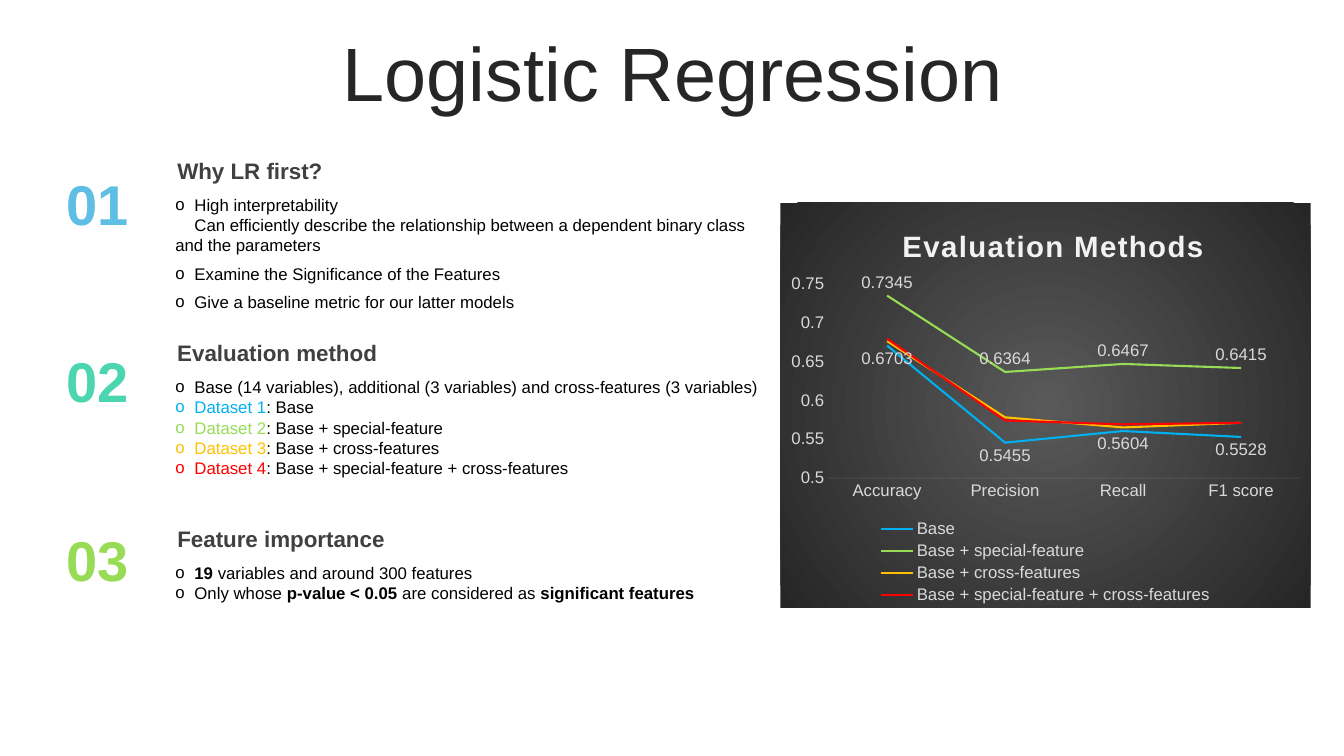
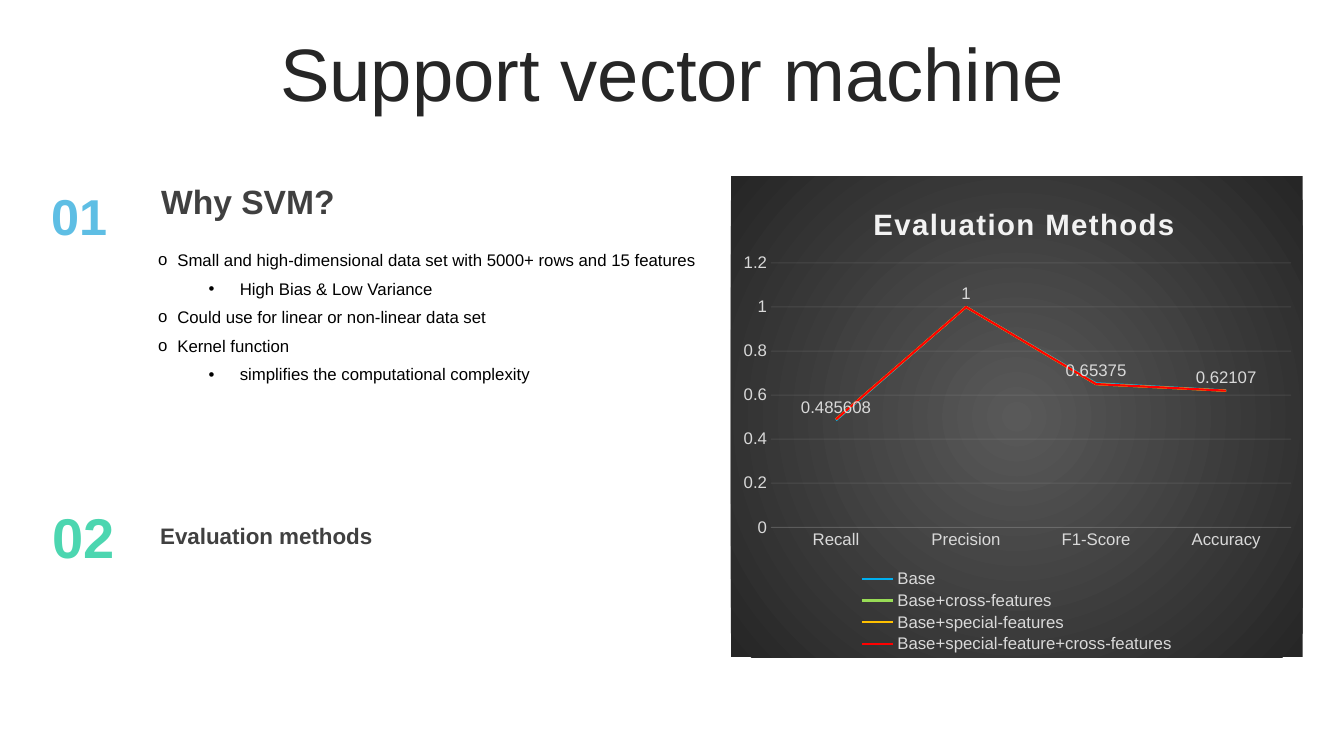
from dataclasses import dataclass

from lxml import etree
from pptx import Presentation
from pptx.chart.data import CategoryChartData
from pptx.dml.color import RGBColor
from pptx.enum.chart import XL_CHART_TYPE, XL_LABEL_POSITION, XL_LEGEND_POSITION, XL_TICK_MARK
from pptx.enum.text import MSO_ANCHOR, MSO_AUTO_SIZE, PP_ALIGN
from pptx.oxml import parse_xml
from pptx.oxml.ns import nsdecls, qn
from pptx.util import Inches, Pt

LEFT, CENTER = PP_ALIGN.LEFT, PP_ALIGN.CENTER
MIDDLE, TOP = MSO_ANCHOR.MIDDLE, MSO_ANCHOR.TOP
GROW, FIXED = MSO_AUTO_SIZE.SHAPE_TO_FIT_TEXT, MSO_AUTO_SIZE.NONE
ABOVE, BELOW = XL_LABEL_POSITION.ABOVE, XL_LABEL_POSITION.BELOW
LINE, LEGEND_BOTTOM = XL_CHART_TYPE.LINE, XL_LEGEND_POSITION.BOTTOM
NO_TICKS = XL_TICK_MARK.NONE

FONT = "Arial"
BLACK, TITLE_GREY, HEADING_GREY = "000000", "262626", "404040"
SKY, MINT, LIME = "5EBEE4", "4CD6B0", "98DC56"
BLUE, AMBER, RED = "00B0F0", "FFC000", "FF0000"
SERIES_COLORS = (BLUE, LIME, AMBER, RED)
CHART_TEXT, CHART_LIGHT = "D9D9D9", "F2F2F2"
CHART_CENTER, CHART_EDGE = "595959", "262626"

Area = tuple[float, float, float, float]


@dataclass(frozen=True)
class Span:
    text: str
    color: str = BLACK
    bold: bool = False


@dataclass(frozen=True)
class Line:
    spans: tuple[Span, ...]
    before: float = 0
    marker: str = "o"
    margin: float = 0.19
    indent: float = -0.19


@dataclass(frozen=True)
class Section:
    number: str
    color: str
    number_area: Area
    heading: str
    heading_area: Area
    lines: tuple[Line, ...] = ()
    lines_area: Area = (0, 0, 0, 0)
    number_size: float = 40
    number_align: PP_ALIGN = CENTER
    heading_size: float = 16


@dataclass(frozen=True)
class Series:
    name: str
    values: tuple[float, ...]
    labels: XL_LABEL_POSITION | None = None


@dataclass(frozen=True)
class LineChart:
    area: Area
    categories: tuple[str, ...]
    series: tuple[Series, ...]
    title_at: tuple[float, float]
    plot: Area
    minimum: float | None = None
    gridlines: bool = False


@dataclass(frozen=True)
class Page:
    title: str
    title_size: float
    sections: tuple[Section, ...]
    chart: LineChart


def bullet(text: str, before: float = 0) -> Line:
    return Line((Span(text),), before)


def sub_bullet(text: str) -> Line:
    return Line((Span(text),), 6, "•", 0.81, -0.31)


def dataset(number: int, features: str) -> Line:
    return Line((Span(f"Dataset {number}", SERIES_COLORS[number - 1]), Span(f": {features}")))


LOGISTIC = Page(
    "Logistic Regression", 54,
    (
        Section("01", SKY, (0.55, 1.63, 0.83, 0.77),
                "Why LR first?", (1.66, 1.51, 5.81, 0.37),
                (bullet("High interpretability"),
                 Line((Span("Can efficiently describe the relationship between a dependent "
                            "binary class and the parameters"),), marker="", margin=0, indent=0.19),
                 bullet("Examine the Significance of the Features", 6),
                 bullet("Give a baseline metric for our latter models", 6)),
                (1.64, 1.88, 6.1, 1.28)),
        Section("02", MINT, (0.55, 3.39, 0.83, 0.77),
                "Evaluation method", (1.66, 3.32, 6.1, 0.37),
                (bullet("Base (14 variables), additional (3 variables) and cross-features (3 variables)"),
                 dataset(1, "Base"),
                 dataset(2, "Base + special-feature"),
                 dataset(3, "Base + cross-features"),
                 dataset(4, "Base + special-feature + cross-features")),
                (1.64, 3.69, 6.15, 1.11)),
        Section("03", LIME, (0.55, 5.16, 0.83, 0.77),
                "Feature importance", (1.66, 5.16, 5.81, 0.37),
                (Line((Span("19", bold=True), Span(" variables and around 300 features"))),
                 Line((Span("Only whose "), Span("p-value < 0.05 ", bold=True),
                       Span("are considered as "), Span("significant features", bold=True)))),
                (1.64, 5.53, 5.86, 0.5)),
    ),
    LineChart(
        (7.74, 2.01, 5.26, 4.02),
        ("Accuracy", "Precision", "Recall", "F1 score"),
        (Series("Base", (0.6703, 0.5455, 0.5604, 0.5528), BELOW),
         Series("Base + special-feature", (0.7345, 0.6364, 0.6467, 0.6415), ABOVE),
         Series("Base + cross-features", (0.676, 0.578, 0.565, 0.571)),
         Series("Base + special-feature + cross-features", (0.679, 0.574, 0.569, 0.571))),
        (0.22, 0.05), (0.09, 0.2, 0.89, 0.48), minimum=0.5),
)

SVM_VALUES = (0.49, 1, 0.65, 0.62)
SVM = Page(
    "Support vector machine", 53,
    (
        Section("01", SKY, (0.41, 1.79, 1, 0.71),
                "Why SVM?", (1.5, 1.75, 5.76, 0.5),
                (bullet("Small and high-dimensional data set with 5000+ rows and 15 features"),
                 sub_bullet("High Bias & Low Variance"),
                 bullet("Could use for linear or non-linear data set", 6),
                 bullet("Kernel function", 6),
                 sub_bullet("simplifies the computational complexity")),
                (1.47, 2.43, 6.05, 1.45), 36, LEFT, 24),
        Section("02", MINT, (0.41, 4.94, 0.83, 0.77),
                "Evaluation methods", (1.49, 5.13, 5.41, 0.37)),
    ),
    LineChart(
        (7.25, 1.75, 5.67, 4.77),
        ("Recall", "Precision", "F1-Score", "Accuracy"),
        (Series("Base", (0.485608, 1, 0.65375, 0.62107), ABOVE),
         Series("Base+cross-features", SVM_VALUES),
         Series("Base+special-features", SVM_VALUES),
         Series("Base+special-feature+cross-features", SVM_VALUES)),
        (0.24, 0.05), (0.07, 0.18, 0.91, 0.55), gridlines=True),
)


def rgb(color: str) -> RGBColor:
    return RGBColor.from_string(color)


def set_font(font, size: float, color: str, bold: bool = False) -> None:
    font.name, font.size, font.bold = FONT, Pt(size), bold
    font.color.rgb = rgb(color)


def add_frame(slide, area: Area, auto_size=GROW, anchor=TOP):
    frame = slide.shapes.add_textbox(*map(Inches, area)).text_frame
    frame.word_wrap = True
    frame.auto_size = auto_size
    frame.vertical_anchor = anchor
    return frame


def add_label(slide, area: Area, text: str, size: float, color: str, align=LEFT) -> None:
    """Add one bold line of text."""
    para = add_frame(slide, area).paragraphs[0]
    para.text = text
    para.alignment = align
    set_font(para.font, size, color, True)


def add_title(slide, text: str, size: float) -> None:
    para = add_frame(slide, (1.23, 0.38, 10.88, 0.77), FIXED, MIDDLE).paragraphs[0]
    para.text = text
    para.alignment = CENTER
    para.line_spacing = 0.9
    set_font(para.font, size, TITLE_GREY)


def set_bullet(para, line: Line) -> None:
    properties = para._p.get_or_add_pPr()
    properties.set("marL", str(Inches(line.margin)))
    properties.set("indent", str(Inches(line.indent)))
    if line.marker:
        color = etree.SubElement(properties, qn("a:buClr"))
        etree.SubElement(color, qn("a:srgbClr"), val=line.spans[0].color)
        etree.SubElement(properties, qn("a:buFont"), typeface=FONT)
        etree.SubElement(properties, qn("a:buChar"), char=line.marker)


def add_lines(slide, area: Area, lines: tuple[Line, ...]) -> None:
    frame = add_frame(slide, area)
    for index, line in enumerate(lines):
        para = frame.add_paragraph() if index else frame.paragraphs[0]
        set_bullet(para, line)
        if line.before:
            para.space_before = Pt(line.before)
        set_font(para.font, 12, BLACK)
        for span in line.spans:
            run = para.add_run()
            run.text = span.text
            if span.color != BLACK:
                run.font.color.rgb = rgb(span.color)
            if span.bold:
                run.font.bold = True


def add_section(slide, section: Section) -> None:
    add_label(slide, section.number_area, section.number, section.number_size,
              section.color, section.number_align)
    add_label(slide, section.heading_area, section.heading, section.heading_size, HEADING_GREY)
    if section.lines:
        add_lines(slide, section.lines_area, section.lines)


def manual_layout(**places: float):
    """Build a chart layout from fractions of the chart's width and height."""
    target = '<c:layoutTarget val="inner"/>' if "w" in places else ""
    modes = "".join(f'<c:{name}Mode val="edge"/>' for name in "xy")
    values = "".join(f'<c:{name} val="{value}"/>' for name, value in places.items())
    return parse_xml(f"<c:layout {nsdecls('c')}><c:manualLayout>{target}{modes}{values}"
                     "</c:manualLayout></c:layout>")


def replace_layout(parent, layout, position: int) -> None:
    for old in parent.findall(qn("c:layout")):
        parent.remove(old)
    parent.insert(position, layout)


def fill_radial(chart) -> None:
    stops = "".join(f'<a:gs pos="{position}"><a:srgbClr val="{color}"/></a:gs>'
                    for position, color in ((0, CHART_CENTER), (100000, CHART_EDGE)))
    fill = parse_xml(
        f"<c:spPr {nsdecls('c', 'a')}><a:gradFill><a:gsLst>{stops}</a:gsLst>"
        '<a:path path="circle"><a:fillToRect l="50000" t="50000" r="50000" b="50000"/></a:path>'
        "</a:gradFill><a:ln><a:noFill/></a:ln></c:spPr>")
    chart.element.find(qn("c:txPr")).addprevious(fill)


def style_axes(chart, spec_minimum: float | None, gridlines: bool) -> None:
    category, value = chart.category_axis, chart.value_axis
    for axis in (category, value):
        axis.major_tick_mark = axis.minor_tick_mark = NO_TICKS
        set_font(axis.tick_labels.font, 12, CHART_TEXT)
    value.format.line.fill.background()
    value.has_major_gridlines = gridlines
    if spec_minimum is not None:
        value.minimum_scale = spec_minimum
    faint_lines = [category.format.line]
    if gridlines:
        faint_lines.append(value.major_gridlines.format.line)
    for line in faint_lines:
        line.width = Pt(0.75)
        line.color.rgb = rgb(CHART_LIGHT)
    for outline in chart.element.iter(qn("a:ln")):
        for color in outline.iter(qn("a:srgbClr")):
            if color.get("val") == CHART_LIGHT:
                etree.SubElement(color, qn("a:alpha"), val="10000")


def add_line_chart(slide, model: LineChart) -> None:
    data = CategoryChartData()
    data.categories = model.categories
    for series in model.series:
        data.add_series(series.name, series.values)
    chart = slide.shapes.add_chart(LINE, *map(Inches, model.area), data).chart
    set_font(chart.font, 10, BLACK)
    fill_radial(chart)

    title = chart.chart_title
    title.text_frame.text = "Evaluation Methods"
    run = title.text_frame.paragraphs[0].runs[0]
    set_font(run.font, 21, CHART_LIGHT, True)
    run._r.get_or_add_rPr().set("spc", "100")
    replace_layout(chart.element.find(".//" + qn("c:title")),
                   manual_layout(**dict(zip("xy", model.title_at))), 1)
    replace_layout(chart.element.find(".//" + qn("c:plotArea")),
                   manual_layout(**dict(zip("xywh", model.plot))), 0)

    chart.has_legend = True
    chart.legend.position = LEGEND_BOTTOM
    chart.legend.include_in_layout = False
    set_font(chart.legend.font, 12, CHART_TEXT)
    style_axes(chart, model.minimum, model.gridlines)

    chart.plots[0].vary_by_categories = False
    for drawn, series, color in zip(chart.plots[0].series, model.series, SERIES_COLORS):
        drawn.smooth = False
        drawn.format.line.width = Pt(1.5)
        drawn.format.line.color.rgb = rgb(color)
        if series.labels is not None:
            drawn.data_labels.show_value = True
            drawn.data_labels.position = series.labels
            set_font(drawn.data_labels.font, 12, CHART_TEXT)


def main() -> None:
    deck = Presentation()
    deck.slide_width, deck.slide_height = Inches(13.33), Inches(7.5)
    for page in (LOGISTIC, SVM):
        slide = deck.slides.add_slide(deck.slide_layouts[6])
        add_title(slide, page.title, page.title_size)
        for section in page.sections:
            add_section(slide, section)
        add_line_chart(slide, page.chart)
    deck.save("out.pptx")


if __name__ == "__main__":
    main()
